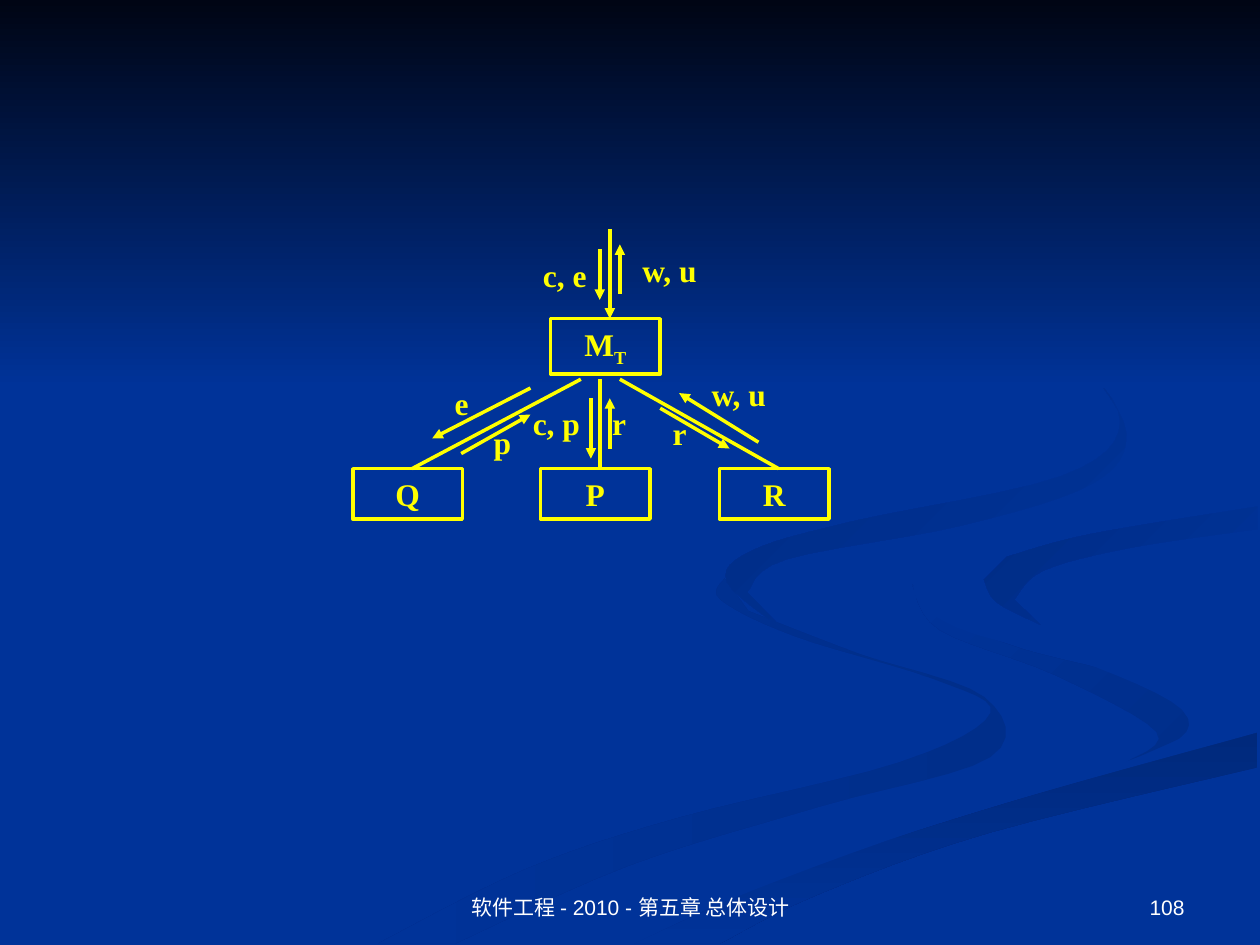
import pptx
import pptx.util
import pptx.dml.color
import pptx.enum.shapes
import pptx.enum.text
import pptx.oxml.ns
from lxml import etree
from pptx.util import Inches

COLORS = {"blue": "003399", "night": "000514", "yellow": "FFFF00", "white": "FFFFFF",
          "shade1": "002E8A", "shade2": "00297C", "shade3": "002C85", "shade4": "002B81"}

# Each ribbon: gradient start, gradient end, clockwise angle, curved edges in inches
RIBBONS = [
    ("shade1", "blue", 180, [
        [(5.75, 4.59), (5.72, 4.76), (6.31, 5.05), (7.41, 5.39), (7.86, 5.66), (7.14, 6.05),
         (5.39, 6.49), (4.17, 6.9), (3, 7.49)],
        [(3.61, 7.49), (4.99, 6.87), (6.51, 6.4), (7.86, 6.01), (7.81, 5.53), (6.82, 5.19),
         (5.94, 4.85)]]),
    ("shade1", "blue", 225, [
        [(7.24, 4.64), (7.46, 5), (8.38, 5.36), (9.18, 5.81), (8.94, 6.05)],
        [(9.37, 5.86), (9.43, 5.7), (9.05, 5.4), (8.11, 5.15), (7.45, 4.9)]]),
    ("shade2", "blue", 90, [
        [(5.03, 7.49), (6.3, 6.93), (7.97, 6.38), (9.98, 5.81)],
        [(9.98, 6.09), (7.85, 6.61), (6.49, 7.1), (5.71, 7.49)]]),
    ("blue", "blue", 0, [
        [(4.77, 7.49), (6.63, 6.68), (8.92, 6.05), (9.43, 5.7), (8.71, 5.3), (7.59, 4.98),
         (7.25, 4.64), (7.7, 4.27), (8.74, 4.08), (9.99, 3.87)],
        [(9.99, 4.02), (8.35, 4.3), (7.81, 4.63), (8.32, 4.98), (9.99, 5.38)],
        [(9.99, 5.81), (7.65, 6.47), (5.99, 7.06), (5.03, 7.49)]]),
    ("blue", "shade3", 225, [
        [(7.81, 4.6), (7.91, 4.78), (8.26, 4.96)],
        [(8.05, 4.76), (8.28, 4.53), (8.96, 4.35), (9.98, 4.2)],
        [(9.98, 4.02), (8.65, 4.24), (7.99, 4.42)]]),
    ("blue", "shade4", 225, [
        [(7.62, 2.33), (8.46, 2.79), (8.89, 3.35), (8.42, 3.78), (6.76, 4.14), (5.97, 4.37),
         (5.77, 4.62), (6.22, 5)],
        [(5.93, 4.7), (6.24, 4.44), (7.64, 4.17), (8.67, 3.84), (8.94, 3.44), (8.64, 2.91)]]),
]

# Positions below are relative to the top left corner of the chart
CHILDREN = {"Q": 0, "P": 1.49, "R": 2.91}
CALLS = [(1.81, 0.47), (1.96, 1.96), (2.12, 3.38)]
ARROWS = [(2.04, 0, 2.04, 0.71), (1.96, 0.16, 1.96, 0.56), (2.12, 0.51, 2.12, 0.12),
          (1.41, 1.26, 0.63, 1.66), (0.86, 1.78, 1.41, 1.47), (1.89, 1.34, 1.89, 1.82),
          (2.04, 1.74, 2.04, 1.34), (3.22, 1.69, 2.59, 1.3), (2.44, 1.42, 2.99, 1.74)]
LABELS = [("c, e", 1.41, 0.16), ("w, u", 2.2, 0.12), ("e", 0.71, 1.18), ("p", 1.02, 1.49),
          ("c, p", 1.33, 1.34), ("r", 1.96, 1.34), ("r", 2.44, 1.42), ("w, u", 2.75, 1.11)]


def rgb(name):
    return pptx.dml.color.RGBColor.from_string(COLORS[name])


def add_run(p, text, size=18, font="Times New Roman", color="yellow", bold=True):
    r = p.add_run()
    r.text = text
    r.font.size, r.font.name, r.font.bold = pptx.util.Pt(size), font, bold
    r.font.color.rgb = rgb(color)
    return r


def smooth(points, steps=6):
    """Return points along a Catmull-Rom curve through the given points."""
    padded = [points[0], *points, points[-1]]
    curve = []
    for a, b, c, d in zip(padded, padded[1:], padded[2:], padded[3:]):
        for t in (i / steps for i in range(steps)):
            curve.append(tuple(
                k1 + t / 2 * (k2 - k0 + t * (2 * k0 - 5 * k1 + 4 * k2 - k3
                                             + t * (3 * (k1 - k2) + k3 - k0)))
                for k0, k1, k2, k3 in zip(a, b, c, d)))
    return curve + [points[-1]]


def paint(sp, start, end, angle):
    sp.shadow.inherit = False
    sp.line.fill.background()
    if start == end:
        sp.fill.solid()
        sp.fill.fore_color.rgb = rgb(start)
        return
    sp.fill.gradient()
    sp.fill.gradient_angle = (360 - angle) % 360
    for stop, color in zip(sp.fill.gradient_stops, (start, end)):
        stop.color.rgb = rgb(color)


def add_backdrop(s, left, top):
    s.background.fill.solid()
    s.background.fill.fore_color.rgb = rgb("blue")
    for start, end, angle, edges in RIBBONS:
        pts = [(Inches(left + x), Inches(top + y)) for edge in edges for x, y in smooth(edge)]
        fb = s.shapes.build_freeform(*pts[0], scale=1.0)
        fb.add_line_segments(pts[1:], close=True)
        paint(fb.convert_to_shape(), start, end, angle)
    sky = s.shapes.add_shape(pptx.enum.shapes.MSO_SHAPE.RECTANGLE,
                             Inches(left), Inches(top), Inches(10), Inches(3.08))
    paint(sky, "night", "blue", 90)


def add_module(s, left, top, height, name, subscript=""):
    sp = s.shapes.add_shape(pptx.enum.shapes.MSO_SHAPE.RECTANGLE,
                            Inches(left), Inches(top), Inches(0.87), Inches(height))
    sp.shadow.inherit = False
    sp.fill.background()
    sp.line.color.rgb = rgb("yellow")
    sp.line.width = pptx.util.Pt(2)
    p = sp.text_frame.paragraphs[0]
    p.alignment = pptx.enum.text.PP_ALIGN.CENTER
    add_run(p, name)
    if subscript:
        add_run(p, subscript).font._element.set("baseline", "-25000")


def add_line(s, x1, y1, x2, y2, arrow=False):
    cn = s.shapes.add_connector(pptx.enum.shapes.MSO_CONNECTOR.STRAIGHT,
                                Inches(x1), Inches(y1), Inches(x2), Inches(y2))
    cn.line.color.rgb = rgb("yellow")
    cn.line.width = pptx.util.Pt(2)
    if arrow:
        ln = cn.line._get_or_add_ln()
        etree.SubElement(ln, pptx.oxml.ns.qn("a:tailEnd"), type="triangle")
    etree.SubElement(cn._element.spPr, pptx.oxml.ns.qn("a:effectLst"))


def add_text(s, left, top, width, height):
    tf = s.shapes.add_textbox(Inches(left), Inches(top), Inches(width), Inches(height)).text_frame
    tf.word_wrap = True
    return tf


def add_structure_chart(s, left, top):
    add_module(s, left + 1.57, top + 0.71, 0.44, "M", "T")
    for name, x in CHILDREN.items():
        add_module(s, left + x, top + 1.9, 0.4, name)
    for x1, x2 in CALLS:
        add_line(s, left + x1, top + 1.19, left + x2, top + 1.9)
    for x1, y1, x2, y2 in ARROWS:
        add_line(s, left + x1, top + y1, left + x2, top + y2, arrow=True)
    for text, x, y in LABELS:
        width = 0.31 if len(text) == 1 else 0.71
        add_run(add_text(s, left + x, top + y, width, 0.4).paragraphs[0], text)


def add_footer(s, left, top):
    align = pptx.enum.text.PP_ALIGN
    for text, x, width, side in (("软件工程 - 2010 - 第五章 总体设计", 0, 3.17, align.CENTER),
                                 ("108", 3.75, 2.33, align.RIGHT)):
        tf = add_text(s, left + x, top, width, 0.52)
        tf.vertical_anchor = pptx.enum.text.MSO_ANCHOR.BOTTOM
        p = tf.paragraphs[0]
        p.alignment = side
        add_run(p, text, 12, "Arial", "white", False)


def main():
    prs = pptx.Presentation()
    prs.slide_width, prs.slide_height = Inches(10), Inches(7.5)
    s = prs.slides.add_slide(prs.slide_layouts[6])
    add_backdrop(s, 0, 0)
    add_structure_chart(s, 2.8, 1.82)
    add_footer(s, 3.42, 6.83)
    prs.save("out.pptx")


if __name__ == "__main__":
    main()
